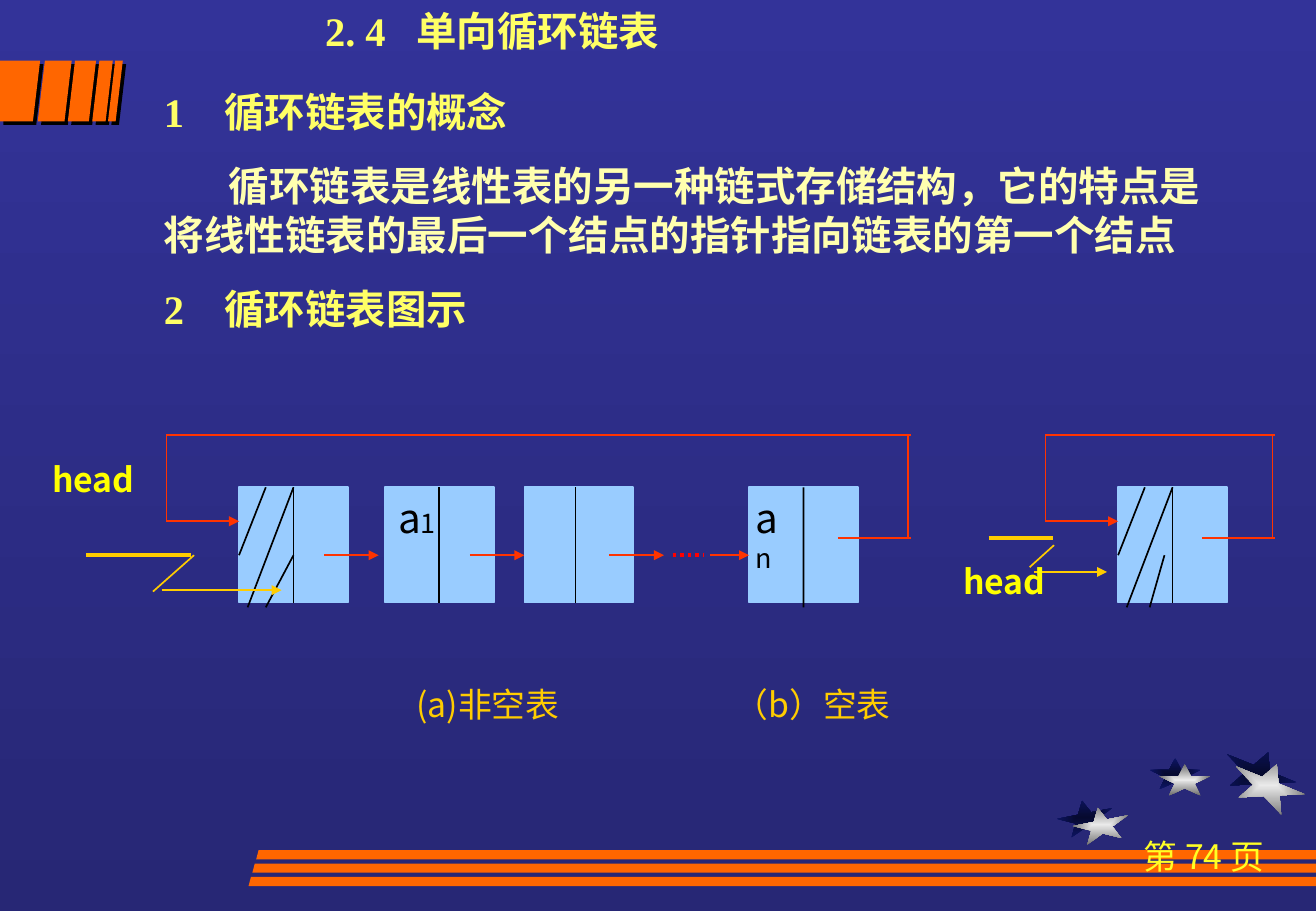
from dataclasses import dataclass

from lxml.etree import SubElement as Sub
from pptx import Presentation
from pptx.dml.color import RGBColor as Rgb
from pptx.enum.dml import MSO_LINE as Dash
from pptx.enum.shapes import MSO_CONNECTOR as Conn, MSO_SHAPE as Kind
from pptx.enum.text import PP_ALIGN as Align
from pptx.oxml.ns import qn
from pptx.util import Cm, Pt


@dataclass(frozen=True)
class Theme:
    """Colours, fonts and type sizes of the deck."""
    sky: tuple = ("333399", "272775")
    navy: tuple = ("060A2F", "0D1565")
    silver: tuple = ("EAEAEA", "6C6C6C")
    orange: str = "FF6600"
    black: str = "000000"
    box: str = "99CCFF"
    red: str = "FF3300"
    dots: str = "FF0000"
    gold: str = "FFCC00"
    label: str = "FFFF00"
    page: str = "FFFF25"
    title: str = "FFFF66"
    body: str = "FFFFAF"
    serif: str = "Times New Roman"
    sans: str = "Noto Sans CJK SC"
    big: int = 24
    mid: int = 20
    small: int = 16
    thin: float = 1
    thick: float = 2.25


class Deck:
    """Draws styled elements on the current slide."""

    def __init__(self, theme):
        self.look = theme
        self.deck = Presentation()
        self.deck.slide_width, self.deck.slide_height = Cm(27.53), Cm(19.05)
        self.slide = self.deck.slides.add_slide(self.deck.slide_layouts[6])
        self.shapes = self.slide.shapes

    def blend(self, fill, tones):
        """Apply a two-colour gradient."""
        fill.gradient()
        for stop, tone, spot in zip(fill.gradient_stops, tones, (0, 1)):
            stop.color.rgb = Rgb.from_string(tone)
            stop.position = spot

    def sky(self):
        """Paint the background from top to bottom."""
        fill = self.slide.background.fill
        self.blend(fill, self.look.sky)
        fill.gradient_angle = 270

    def star(self, x, y, w, h, turn, tones):
        """Add a star shaded from its centre."""
        star = self.shapes.add_shape(Kind.STAR_5_POINT, Cm(x), Cm(y), Cm(w), Cm(h))
        star.rotation = turn
        star.shadow.inherit = False
        star.line.fill.background()
        self.blend(star.fill, tones)
        grad = star._element.spPr.find(qn("a:gradFill"))
        grad.remove(grad.find(qn("a:lin")))
        glow = Sub(grad, qn("a:path"), path="rect")
        Sub(glow, qn("a:fillToRect"), l="50000", t="50000", r="50000", b="50000")

    def slab(self, points, shade=False):
        """Add a filled orange outline."""
        spots = [(Cm(x), Cm(y)) for x, y in points]
        pen = self.shapes.build_freeform(*spots[0], scale=1.0)
        pen.add_line_segments(spots[1:], close=True)
        slab = pen.convert_to_shape()
        slab.shadow.inherit = False
        slab.fill.solid()
        slab.fill.fore_color.rgb = Rgb.from_string(self.look.orange)
        slab.line.fill.background()
        if shade:
            effect = slab._element.spPr.find(qn("a:effectLst"))
            cast = Sub(effect, qn("a:outerShdw"), dist=str(Pt(2.8)), dir="2700000",
                       algn="ctr", rotWithShape="0")
            Sub(cast, qn("a:srgbClr"), val=self.look.black)

    def line(self, x, y, x2, y2, tone, width=None, arrow=False, dash=None):
        """Add a straight line, with an arrowhead if asked."""
        line = self.shapes.add_connector(Conn.STRAIGHT, Cm(x), Cm(y), Cm(x2), Cm(y2))
        line.line.color.rgb = Rgb.from_string(tone)
        line.line.width = Pt(width or self.look.thin)
        if dash:
            line.line.dash_style = dash
        if arrow:
            Sub(line.line._get_or_add_ln(), qn("a:tailEnd"), type="triangle")
        Sub(line._element.spPr, qn("a:effectLst"))
        return line

    def text(self, x, y, w, h, paras, align=Align.LEFT, gap=0, tab=None):
        """Add a text box from (indent, runs) paragraphs."""
        frame = self.shapes.add_textbox(Cm(x), Cm(y), Cm(w), Cm(h)).text_frame
        frame.word_wrap = True
        for i, (indent, runs) in enumerate(paras):
            para = frame.paragraphs[0] if i == 0 else frame.add_paragraph()
            props = para._p.get_or_add_pPr()
            if indent:
                props.set("indent", str(Cm(indent)))
            if tab:
                tabs = Sub(props, qn("a:tabLst"))
                Sub(tabs, qn("a:tab"), pos=str(Cm(tab)), algn="l")
            para.alignment = align
            if i:
                para.space_before = Pt(gap)
            for words, size, tone, face, bold in runs:
                run = para.add_run()
                run.text = words
                run.font.size, run.font.bold = Pt(size), bold
                run.font.color.rgb = Rgb.from_string(tone)
                run.font.name = face
                Sub(run._r.get_or_add_rPr(), qn("a:ea"), typeface=self.look.sans)

    def node(self, x, split=None, over=0):
        """Add a list node divided into data and link."""
        box = self.shapes.add_shape(Kind.RECTANGLE, Cm(x), Cm(10.19), Cm(2.28), Cm(2.41))
        box.shadow.inherit = False
        box.fill.solid()
        box.fill.fore_color.rgb = box.line.color.rgb = Rgb.from_string(self.look.box)
        box.line.width = Pt(self.look.thin)
        mid = x + (split or 1.14)
        bar = self.line(mid, 10.19, mid, 12.6 + over, self.look.black)
        if not split:
            bar.begin_connect(box, 0)
            if not over:
                bar.end_connect(box, 2)

    def hatch(self, x, last):
        """Add the slanted strokes of a head node."""
        for a, b, c, d in ((0.56, 0, 0, 1.42), (1.14, 0, 0.18, 2.51), last):
            self.line(x + a, 10.19 + b, x + c, 10.19 + d, self.look.black)

    def loop(self, x, rise):
        """Add the link from the last node back to the head node."""
        left, top, low, back = x - 1.52, 9.09, 11.25, 10.9
        tone = self.look.red
        self.line(rise - 1.47, low, rise + 0.05, low, tone)
        self.line(rise, top, rise, low, tone)
        self.line(left, top, rise + 0.05, top, tone)
        self.line(left, top, left, back, tone)
        self.line(left, back, x, back, tone, arrow=True)

    def lead(self, bar, zig, tip):
        """Add the gold head pointer."""
        tone = self.look.gold
        self.line(*bar, tone, self.look.thick)
        self.line(*zig, tone)
        self.line(*tip, tone, arrow=True)

    def save(self):
        """Write the file."""
        self.deck.save("out.pptx")


def main():
    """Build the slide on circular linked lists."""
    look = Theme()
    deck = Deck(look)
    deck.sky()

    stars = ((22.12, 16.74, 1.17, 0.71, 349, 0.33, 0.15),
             (24.05, 15.85, 1.07, 0.66, 0, 0.2, 0.13),
             (25.58, 15.7, 1.55, 0.94, 22, 0.18, 0.25))
    for x, y, w, h, turn, *_ in stars:
        deck.star(x, y, w, h, turn, look.navy)
    for x, y, w, h, turn, dx, dy in stars:
        deck.star(x + dx, y + dy, w, h, turn, look.silver)

    for a, b in ((0, 0.84), (0.94, 1.5), (1.57, 2.01), (2.08, 2.36), (2.41, 2.57)):
        deck.slab(((a, 1.27), (b, 1.27), (b - 0.15, 2.54), (max(a - 0.15, 0), 2.54)), True)
    for i in range(3):
        x, y = 5.41 - 0.08 * i, 17.78 + 0.28 * i
        deck.slab(((x, y), (27.53, y), (27.53, y + 0.19), (x - 0.05, y + 0.19)))

    def head(words, tone=look.title):
        return words, look.big, tone, look.serif, True

    def note(words, tone, size=look.mid, bold=False):
        return words, size, tone, look.sans, bold

    deck.text(22.86, 17.35, 4.65, 2.13, [(0, [note("第 74 页", look.page)])], Align.CENTER)
    deck.text(3.18, 1.7, 22.86, 5.38, [
        (0, [head("1\t循环链表的概念")]),
        (1.36, [head("循环链表是线性表的另一种链式存储结构，它的特点是"
                     "将线性链表的最后一个结点的指针指向链表的第一个结点", look.body)]),
        (0, [head("2\t循环链表图示")])], gap=15, tab=1.26)
    deck.text(6.55, 0, 12.7, 1.27, [(0, [head("2. 4\t单向循环链表")])], tab=1.91)
    deck.text(8.46, 14.17, 16.31, 1.12,
              [(0, [note("(a)非空表\t（b）空表", look.gold)])], tab=6.66)

    empty, first, last = 23.39, 5.0, 15.67
    deck.node(empty)
    deck.hatch(empty, (0.97, 1.42, 0.66, 2.51))
    deck.loop(empty, 26.62)
    deck.lead((20.68, 11.25, 22.02, 11.25), (22.05, 11.4, 21.54, 11.86),
              (21.64, 11.96, 23.16, 11.96))

    deck.node(last, over=0.1)
    for x, split in ((first, None), (8.05, None), (10.97, 1.07)):
        deck.node(x, split)
        deck.line(x + 1.78, 11.61, x + 2.92, 11.61, look.red, arrow=True)
    deck.line(14.86, 11.61, last, 11.61, look.red, arrow=True)
    deck.line(14.07, 11.61, 14.73, 11.61, look.dots, look.thick, dash=Dash.ROUND_DOT)
    deck.hatch(first, (1.14, 1.42, 0.56, 2.51))
    deck.loop(first, 19.0)
    deck.lead((1.8, 11.61, 3.99, 11.61), (4.06, 11.61, 3.2, 12.37),
              (3.38, 12.34, 5.89, 12.34))

    for x, y in ((0.84, 9.47), (19.9, 11.61)):
        deck.text(x, y, 2.64, 1.12, [(0, [note("head", look.label, bold=True)])])
    for x, w, sub in ((8.08, 1.32, "1"), (15.55, 1.25, "n")):
        deck.text(x, 10.19, w, 1.96, [(0, [note("a", look.black, look.big),
                                           note(sub, look.black, look.small)])])
    deck.save()


if __name__ == "__main__":
    main()
